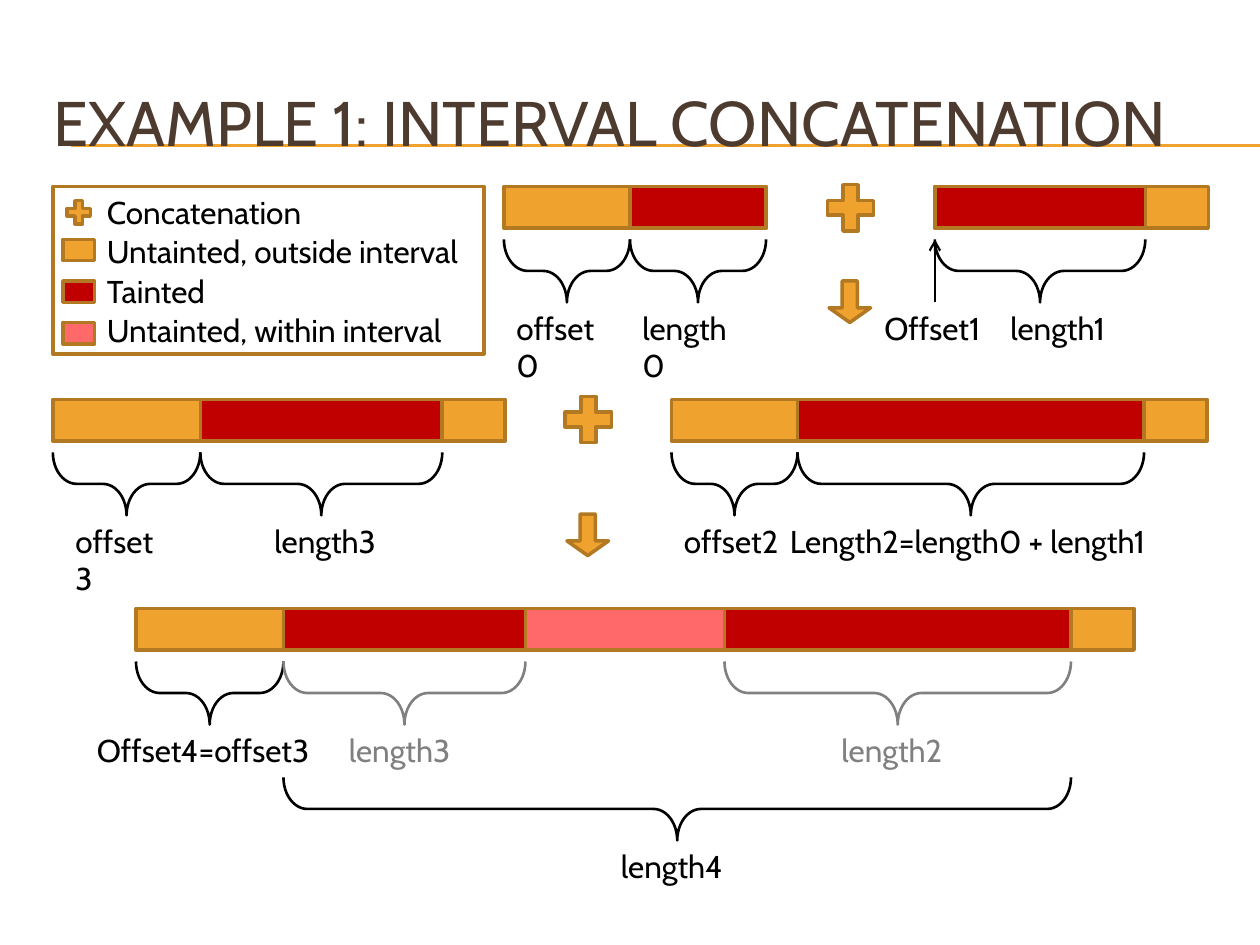
from dataclasses import dataclass

from lxml import etree
from pptx import Presentation
from pptx.dml.color import RGBColor
from pptx.enum.shapes import MSO_CONNECTOR, MSO_SHAPE
from pptx.enum.text import MSO_ANCHOR
from pptx.oxml.ns import qn
from pptx.util import Inches, Pt

RECTANGLE = MSO_SHAPE.RECTANGLE
PLUS = MSO_SHAPE.MATH_PLUS
DOWN_ARROW = MSO_SHAPE.DOWN_ARROW
BRACE = MSO_SHAPE.LEFT_BRACE
STRAIGHT = MSO_CONNECTOR.STRAIGHT
MIDDLE = MSO_ANCHOR.MIDDLE


@dataclass(frozen=True)
class Theme:
    font: str = "Cabin"
    title_size: int = 36
    body_size: int = 18
    title: str = "4E3B30"
    ink: str = "000000"
    muted: str = "808080"
    white: str = "FFFFFF"
    outside: str = "F0A22E"
    tainted: str = "C00000"
    within: str = "FF6969"
    outline: str = "B27822"


THEME = Theme()
BAR_HEIGHT = 0.33
BRACE_HEIGHT = 0.5
BRACE_DROP = 0.42  # from the top of a bar to the top of its braces


@dataclass(frozen=True)
class Segment:
    width: float
    fill: str
    label: str = ""
    label_box: tuple = ()  # left and width
    ink: str = THEME.ink
    right_inset: float = 0  # above 0, the label wraps


def add_shape(shapes, kind, left, top, width, height, fill=None,
              line=THEME.outline, weight=2):
    shape = shapes.add_shape(kind, Inches(left), Inches(top), Inches(width), Inches(height))
    shape.shadow.inherit = False
    if fill:
        shape.fill.solid()
        shape.fill.fore_color.rgb = RGBColor.from_string(fill)
    else:
        shape.fill.background()
    shape.line.color.rgb = RGBColor.from_string(line)
    shape.line.width = Pt(weight)
    return shape


def add_text(shapes, lines, left, top, width, height, color=THEME.ink,
             size=THEME.body_size, space_after=0):
    box = shapes.add_textbox(Inches(left), Inches(top), Inches(width), Inches(height))
    frame = box.text_frame
    frame.word_wrap = False
    frame.text = "\n".join(lines)
    for para in frame.paragraphs:
        para.font.name = THEME.font
        para.font.size = Pt(size)
        para.font.color.rgb = RGBColor.from_string(color)
        para.space_after = Pt(space_after)
    return frame


def add_line(shapes, start, end, color, weight):
    line = shapes.add_connector(STRAIGHT, *(Inches(value) for value in (*start, *end)))
    line.line.color.rgb = RGBColor.from_string(color)
    line.line.width = Pt(weight)
    etree.SubElement(line._element.spPr, qn("a:effectLst"))
    return line


def add_brace(shapes, left, top, width, color):
    """Place a brace that opens upward over the given span."""
    shape = add_shape(shapes, BRACE, left + (width - BRACE_HEIGHT) / 2,
                      top + (BRACE_HEIGHT - width) / 2, BRACE_HEIGHT, width,
                      line=color, weight=1.5)
    shape.rotation = 270
    shape.adjustments[0] = 0.377


def add_label(shapes, text, box, top, color=THEME.ink, right_inset=0):
    left, width = box
    frame = add_text(shapes, [text], left, top, width, 0.4, color)
    if right_inset:
        frame.word_wrap = True
        frame.margin_right = Inches(right_inset)


def add_title(shapes, left, top, width, height):
    for rule in (1.15, 1.16):
        add_line(shapes, (0.56, rule), (10, rule), THEME.outside, 0.75)
    frame = add_text(shapes, ["EXAMPLE 1: INTERVAL CONCATENATION"], left, top,
                     width, height, THEME.title, THEME.title_size)
    frame.vertical_anchor = MIDDLE
    frame.word_wrap = True


def add_interval(shapes, left, top, segments):
    """Draw a bar of segments, with a brace and a label under each named one."""
    total = sum(segment.width for segment in segments)
    add_shape(shapes, RECTANGLE, left, top, total, BAR_HEIGHT, THEME.outside)
    brace_top = top + BRACE_DROP
    for segment in segments:
        if segment.fill != THEME.outside:
            add_shape(shapes, RECTANGLE, left, top, segment.width, BAR_HEIGHT, segment.fill)
        if segment.label:
            add_brace(shapes, left, brace_top, segment.width, segment.ink)
            add_label(shapes, segment.label, segment.label_box,
                      brace_top + BRACE_HEIGHT, segment.ink, segment.right_inset)
        left += segment.width


def add_operator(shapes, left, top):
    """Draw a plus sign with the result arrow beneath it."""
    add_shape(shapes, PLUS, left, top, 0.5, 0.5, THEME.outside)
    return left + 0.08


def add_result_arrow(shapes, left, top):
    arrow = add_shape(shapes, DOWN_ARROW, left, top, 0.33, 0.33, THEME.outside)
    arrow.adjustments[0] = 0.363
    arrow.adjustments[1] = 0.353


def add_legend(page, left, top, width, height):
    shapes = page.shapes.add_group_shape().shapes
    frame = add_shape(shapes, RECTANGLE, left, top, width, height, THEME.white)
    color = frame._element.spPr.find(qn("a:solidFill"))[0]
    etree.SubElement(color, qn("a:alpha"), val="51000")
    add_shape(shapes, PLUS, left + 0.08, top + 0.08, 0.25, 0.25, THEME.outside)
    for row, fill in enumerate((THEME.outside, THEME.tainted, THEME.within)):
        add_shape(shapes, RECTANGLE, left + 0.08, top + 0.42 + row * 0.33, 0.25, 0.17, fill)
    add_text(shapes, ["Concatenation", "Untainted, outside interval", "Tainted",
                      "Untainted, within interval"],
             left + 0.33, top, 3.12, 1.35, space_after=1)


def main():
    deck = Presentation()
    deck.slide_width, deck.slide_height = Inches(10), Inches(7.5)
    page = deck.slides.add_slide(deck.slide_layouts[6])
    shapes = page.shapes
    outside, tainted, within = THEME.outside, THEME.tainted, THEME.within

    add_title(shapes, 0.33, 0.5, 9.5, 0.92)

    # First concatenation: intervals 0 and 1
    add_interval(shapes, 4, 1.48, [
        Segment(1, outside, "offset0", (4, 0.95), right_inset=0.18),
        Segment(1.08, tainted, "length0", (5, 1.03), right_inset=0.18)])
    add_interval(shapes, 7.42, 1.48, [
        Segment(1.67, tainted, "length1", (7.92, 1.03)), Segment(0.5, outside)])
    pointer = add_line(shapes, (7.42, 2.4), (7.42, 1.9), THEME.ink, 1.25)
    etree.SubElement(pointer.line._get_or_add_ln(), qn("a:tailEnd"), type="arrow")
    add_label(shapes, "Offset1", (6.92, 1.01), 2.4)

    # Second concatenation: intervals 3 and 2
    add_interval(shapes, 0.42, 3.17, [
        Segment(1.17, outside, "offset3", (0.5, 0.95)),
        Segment(1.92, tainted, "length3", (2.08, 1.03)), Segment(0.5, outside)])
    add_interval(shapes, 5.33, 3.17, [
        Segment(1, outside, "offset2", (5.33, 0.95)),
        Segment(2.75, tainted, "Length2=length0 + length1", (6.17, 3.2)),
        Segment(0.5, outside)])

    # Operators between the intervals
    for left, plus_top, arrow_top in ((6.5, 1.4, 2.23), (4.42, 3.08, 4.08)):
        add_result_arrow(shapes, add_operator(shapes, left, plus_top), arrow_top)

    # Result: interval 4
    add_interval(shapes, 1.08, 4.83, [
        Segment(1.17, outside, "Offset4=offset3", (0.67, 1.91)),
        Segment(1.92, tainted, "length3", (2.67, 1.03), THEME.muted),
        Segment(1.58, within),
        Segment(2.75, tainted, "length2", (6.58, 1.03), THEME.muted),
        Segment(0.5, outside)])
    add_brace(shapes, 2.25, 6.17, 6.25, THEME.ink)
    add_label(shapes, "length4", (4.83, 1.03), 6.67)

    add_legend(page, 0.42, 1.48, 3.42, 1.33)
    deck.save("out.pptx")


if __name__ == "__main__":
    main()
